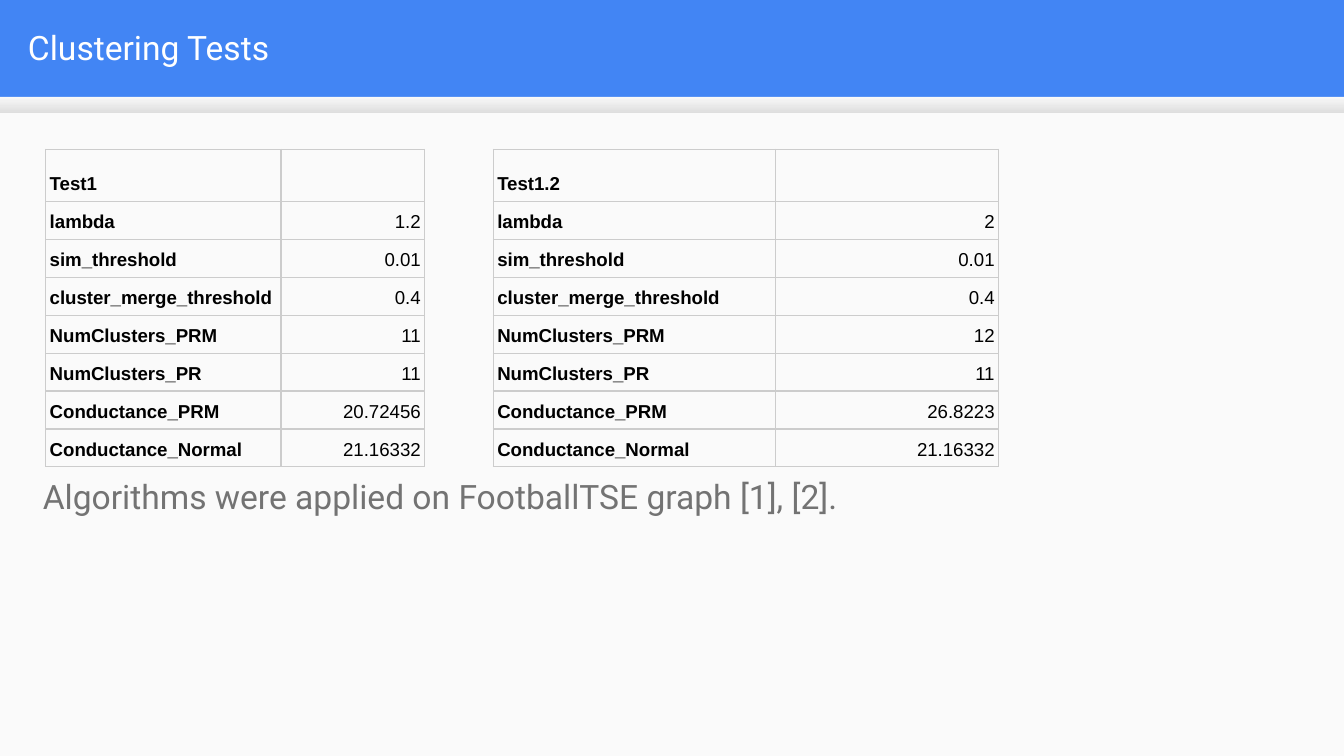
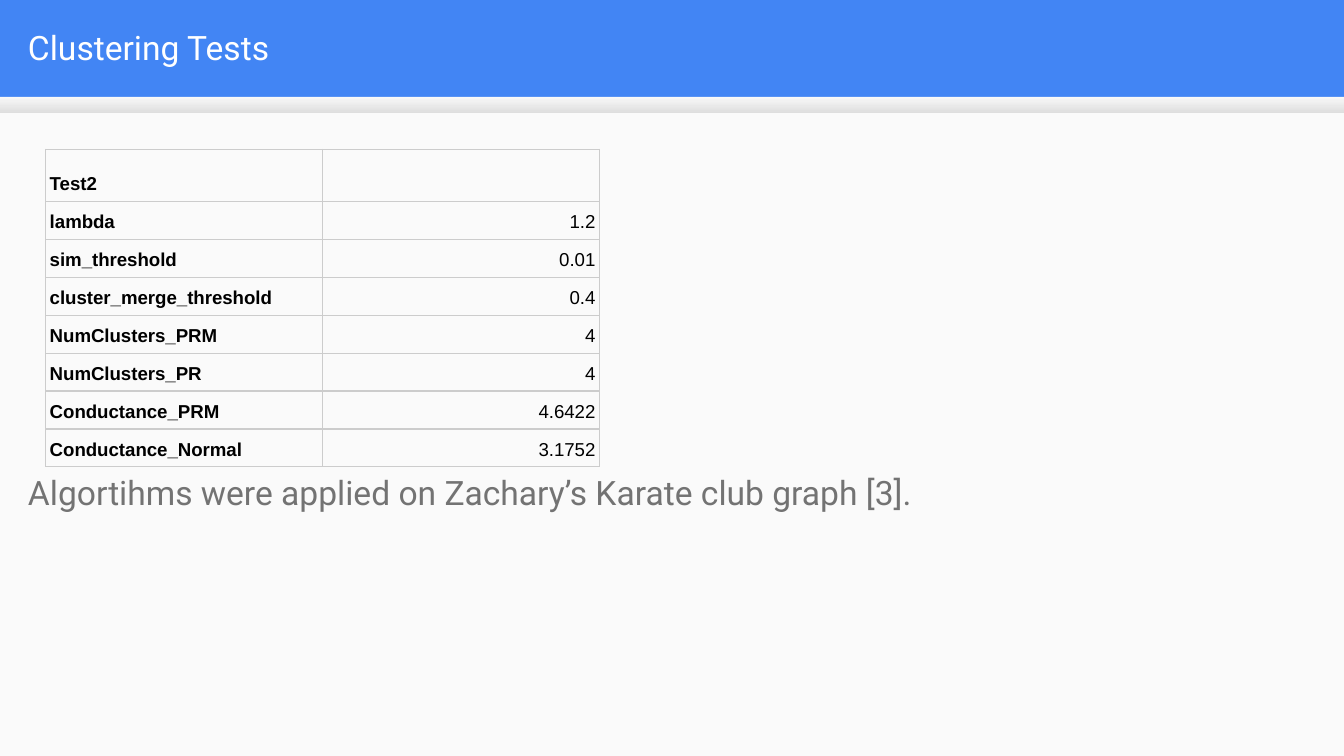
from dataclasses import dataclass

from lxml.etree import SubElement
from pptx import Presentation
from pptx.dml.color import RGBColor as Rgb
from pptx.enum.shapes import MSO_SHAPE as Shape
from pptx.enum.text import MSO_ANCHOR as Anchor, PP_ALIGN as Align
from pptx.oxml.ns import qn
from pptx.util import Inches, Pt


@dataclass(frozen=True)
class Theme:
    blue: Rgb = Rgb.from_string("4285F4")
    paper: Rgb = Rgb.from_string("FAFAFA")
    shade_top: Rgb = Rgb.from_string("F9F9F9")
    shade_bottom: Rgb = Rgb.from_string("DEDEDE")
    white: Rgb = Rgb.from_string("FFFFFF")
    gray: Rgb = Rgb.from_string("737373")
    black: Rgb = Rgb.from_string("000000")
    border: str = "CCCCCC"
    border_width: int = Pt(0.75)
    text_font: str = "Roboto"
    table_font: str = "Arial"
    text_size: int = Pt(18)
    table_size: int = Pt(10)


theme = Theme()
page_width = Inches(10)
page_height = page_width * 9 // 16
band_top = Inches(0.72)
parameters = ["lambda", "sim_threshold", "cluster_merge_threshold", "NumClusters_PRM",
              "NumClusters_PR", "Conductance_PRM", "Conductance_Normal"]
pages = [
    ("Algorithms were applied on FootballTSE graph [1], [2].", 0.22, 3.4, [
        ("Test1", 0.34, (1.75, 1.07), ["1.2", "0.01", "0.4", "11", "11", "20.72456", "21.16332"]),
        ("Test1.2", 3.67, (2.1, 1.66), ["2", "0.01", "0.4", "12", "11", "26.8223", "21.16332"]),
    ]),
    ("Algortihms were applied on Zachary’s Karate club graph [3].", 0.11, 3.37, [
        ("Test2", 0.34, (2.06, 2.06), ["1.2", "0.01", "0.4", "4", "4", "4.6422", "3.1752"]),
    ]),
]


def add_text(slide, text, left, top, width, height, color, anchor):
    frame = slide.shapes.add_textbox(Inches(left), Inches(top), Inches(width), Inches(height)).text_frame
    frame.word_wrap = True
    frame.vertical_anchor = anchor
    frame.margin_left = frame.margin_right = frame.margin_top = frame.margin_bottom = Inches(0.1)
    paragraph = frame.paragraphs[0]
    paragraph.text = text
    paragraph.font.name, paragraph.font.size = theme.text_font, theme.text_size
    paragraph.font.color.rgb = color
    return paragraph


def add_results(slide, test, left, widths, values):
    rows = [(test, "")] + list(zip(parameters, values))
    table = slide.shapes.add_table(len(rows), 2, Inches(left), Inches(1.11),
                                   Inches(sum(widths)), Inches(1.86)).table
    table.first_row = table.horz_banding = False
    for column, width in zip(table.columns, widths):
        column.width = Inches(width)
    for r, row in enumerate(rows):
        table.rows[r].height = Inches(0.22 if r else 0.32)
        for c, text in enumerate(row):
            cell = table.cell(r, c)
            for side in ("a:lnL", "a:lnR", "a:lnT", "a:lnB"):
                edge = SubElement(cell._tc.get_or_add_tcPr(), qn(side), w=str(theme.border_width))
                SubElement(SubElement(edge, qn("a:solidFill")), qn("a:srgbClr"), val=theme.border)
            cell.fill.background()
            cell.margin_left = cell.margin_right = Inches(0.03)
            cell.margin_top, cell.margin_bottom = Inches(0.04), Inches(0.05)
            cell.vertical_anchor = Anchor.BOTTOM
            if not text:
                continue
            paragraph = cell.text_frame.paragraphs[0]
            paragraph.text = text
            paragraph.line_spacing = 1.15
            paragraph.alignment = Align.RIGHT if c else Align.LEFT
            paragraph.font.name, paragraph.font.size = theme.table_font, theme.table_size
            paragraph.font.bold = c == 0
            paragraph.font.color.rgb = theme.black


prs = Presentation()
prs.slide_width, prs.slide_height = page_width, page_height
prs.slide_master.background.fill.solid()
prs.slide_master.background.fill.fore_color.rgb = theme.blue

for note, note_left, note_top, tests in pages:
    slide = prs.slides.add_slide(prs.slide_layouts[6])
    body = slide.shapes.add_shape(Shape.RECTANGLE, 0, band_top, page_width, page_height - band_top)
    body.fill.solid()
    body.fill.fore_color.rgb = theme.paper
    shade = slide.shapes.add_shape(Shape.RECTANGLE, 0, band_top, page_width, Inches(0.12))
    shade.fill.gradient()
    shade.fill.gradient_angle = 270
    for stop, position, color in zip(shade.fill.gradient_stops, (0, 1),
                                     (theme.shade_top, theme.shade_bottom)):
        stop.position, stop.color.rgb = position, color
    for band in (body, shade):
        band.line.fill.background()
        band.shadow.inherit = False

    add_text(slide, "Clustering Tests", 0.11, 0.02, 9.65, 0.66, theme.white, Anchor.MIDDLE)
    caption = add_text(slide, note, note_left, note_top, 9.32, 2, theme.gray, Anchor.TOP)
    caption.line_spacing = 1.15
    caption.space_after = Pt(16)
    for test, left, widths, values in tests:
        add_results(slide, test, left, widths, values)

prs.save("out.pptx")
